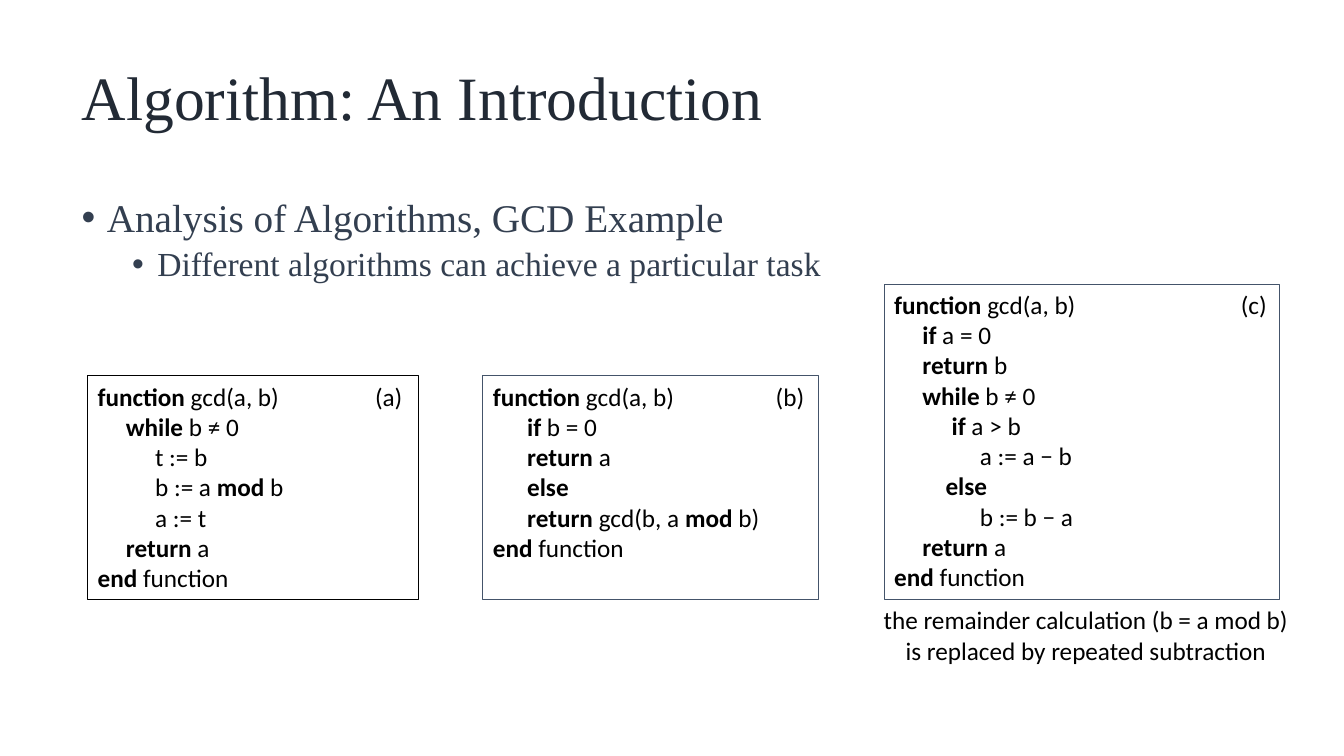
from lxml import etree
from pptx import Presentation
from pptx.dml.color import RGBColor
from pptx.enum.shapes import MSO_SHAPE
from pptx.enum.text import MSO_ANCHOR, MSO_AUTO_SIZE, PP_ALIGN
from pptx.oxml.ns import qn
from pptx.util import Pt

RECTANGLE = MSO_SHAPE.RECTANGLE
TOP, MIDDLE = MSO_ANCHOR.TOP, MSO_ANCHOR.MIDDLE
LEFT, CENTER = PP_ALIGN.LEFT, PP_ALIGN.CENTER
NO_FIT = MSO_AUTO_SIZE.NONE

BLACK = RGBColor(0x00, 0x00, 0x00)
SLATE = RGBColor(0x44, 0x54, 0x6A)
TITLE_COLOR = RGBColor(0x22, 0x2A, 0x35)
BODY_COLOR = RGBColor(0x33, 0x3F, 0x50)

EMU_PER_PX = 9144  # 100 px to the inch
SERIF, SANS = "Times New Roman", "Calibri"


def px(*lengths):
    return [length * EMU_PER_PX for length in lengths]


class SlideBuilder:
    """Holds the text style and the slide being filled."""

    code_size = 18

    def __init__(self, slide):
        self.slide = slide

    def span(self, para, text, size, font, color, bold=False):
        span = para.add_run()
        span.text = text
        span.font.size = Pt(size)
        span.font.name = font
        span.font.bold = bold
        span.font.color.rgb = color

    def indent(self, para, margin, first=0):
        properties = para._p.get_or_add_pPr()
        for name, length in zip(("marL", "indent"), px(margin, first)):
            properties.set(name, str(length))
        return properties

    def place(self, box, area, anchor):
        box.left, box.top, box.width, box.height = px(*area)
        frame = box.text_frame
        frame.word_wrap = True
        frame.auto_size = NO_FIT
        frame.vertical_anchor = anchor
        return frame

    def paragraphs(self, frame, items):
        for number, item in enumerate(items):
            yield (frame.add_paragraph() if number else frame.paragraphs[0]), item

    def title(self, text, area):
        frame = self.place(self.slide.shapes.title, area, MIDDLE)
        para = frame.paragraphs[0]
        para.alignment = LEFT
        para.line_spacing = 0.9
        self.span(para, text, 44, SERIF, TITLE_COLOR)

    def bullets(self, items, area):
        frame = self.place(self.slide.placeholders[1], area, TOP)
        for para, (level, size, before, text) in self.paragraphs(frame, items):
            para.level = level
            para.line_spacing = 0.9
            para.space_before = Pt(before)
            properties = self.indent(para, 25 + 50 * level, -25)
            etree.SubElement(properties, qn("a:buFont"), typeface="Arial")
            etree.SubElement(properties, qn("a:buChar"), char="•")
            self.span(para, text, size, SERIF, BODY_COLOR)

    def code(self, lines, area, line_color):
        box = self.slide.shapes.add_shape(RECTANGLE, *px(*area))
        box.shadow.inherit = False
        box.fill.background()
        box.line.color.rgb = line_color
        box.line.width = Pt(0.75)
        frame = self.place(box, area, TOP)
        for para, (margin, text) in self.paragraphs(frame, lines):
            para.alignment = LEFT
            self.indent(para, margin)
            # Asterisks enclose the bold keywords
            for number, part in enumerate(text.split("*")):
                if part:
                    self.span(para, part, self.code_size, SANS, BLACK, number % 2 == 1)

    def label(self, text, area):
        box = self.slide.shapes.add_textbox(*px(*area))
        para = self.place(box, area, TOP).paragraphs[0]
        para.alignment = CENTER
        self.span(para, text, self.code_size, SANS, BLACK)


HEAD, END = (0, "*function* gcd(a, b)"), (0, "*end* function")

MODULO = [
    HEAD,
    (28, "*while* b ≠ 0"),
    (57, "t := b"),
    (57, "b := a *mod* b"),
    (57, "a := t"),
    (28, "*return* a"),
    END,
]
RECURSIVE = [
    HEAD,
    (34, "*if* b = 0"),
    (34, "*return* a"),
    (34, "*else*"),
    (34, "*return* gcd(b, a *mod* b)"),
    END,
]
SUBTRACTION = [
    HEAD,
    (28, "*if* a = 0"),
    (28, "*return* b"),
    (28, "*while* b ≠ 0"),
    (57, "*if* a > b"),
    (85, "a := a − b"),
    (51, "*else*"),
    (85, "b := b − a"),
    (28, "*return* a"),
    END,
]


def main():
    deck = Presentation()
    deck.slide_width, deck.slide_height = px(1333, 750)
    page = SlideBuilder(deck.slides.add_slide(deck.slide_layouts[1]))

    # Heading and bullet list
    page.title("Algorithm: An Introduction", (71, 35, 1150, 129))
    page.bullets([
        (0, 28, 10, "Analysis of Algorithms, GCD Example"),
        (1, 24, 5, "Different algorithms can achieve a particular task"),
    ], (71, 192, 1150, 476))

    # Code boxes, all ending on one bottom edge, with their letters
    bottom = 595
    for letter, lines, left, top, width, color, label_left in (
        ("(a)", MODULO, 87, 373, 328, BLACK, 359),
        ("(b)", RECURSIVE, 479, 373, 333, SLATE, 757),
        ("(c)", SUBTRACTION, 877, 282, 392, SLATE, 1217),
    ):
        page.code(lines, (left, top, width, bottom - top), color)
        page.label(letter, (label_left, top, 53, 40))

    # Caption under the third box
    page.label("the remainder calculation (b = a mod b) is replaced by repeated subtraction",
               (865, bottom, 424, 71))

    deck.save("out.pptx")


if __name__ == "__main__":
    main()
